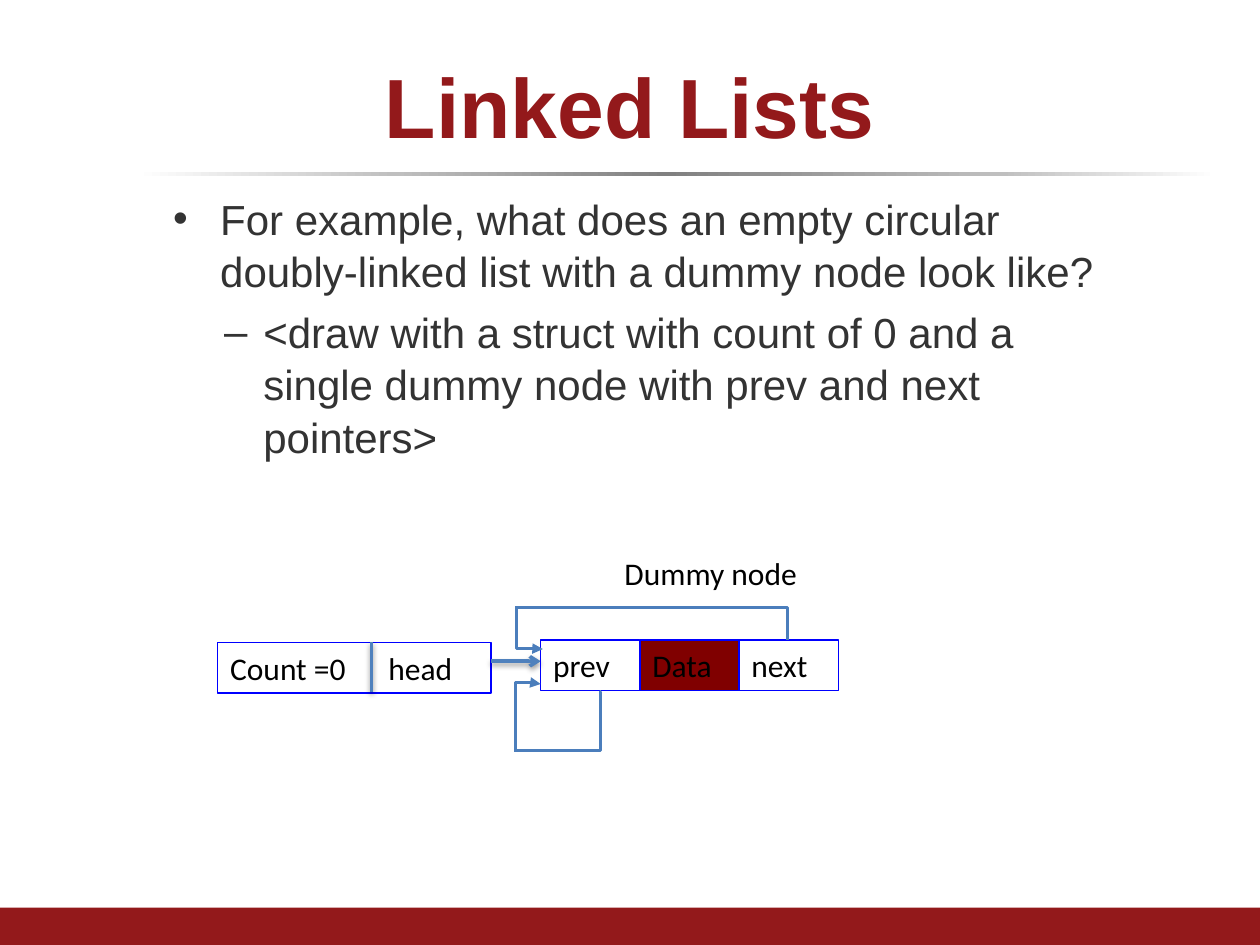
import lxml.etree
import pptx
import pptx.dml.color
import pptx.enum.shapes
import pptx.enum.text
import pptx.oxml
import pptx.oxml.ns
import pptx.util

Cm, Pt = pptx.util.Cm, pptx.util.Pt
qn = pptx.oxml.ns.qn
CONNECTOR = pptx.enum.shapes.MSO_CONNECTOR
COLORS = {"brand": "93191B", "body": "333333", "ink": "000000", "data": "800000",
          "border": "0000FF", "link": "4F81BD", "loop": "4B7EBC"}
RULE_STOPS = [(0, "FFFFFF"), (24, "BFBFBF"), (49, "808080"), (80, "BFBFBF"), (100, "FFFFFF")]
TITLE = {"name": "Arial", "size": Pt(48), "bold": True}
BODY = {"name": "Arial", "size": Pt(24)}
LABEL = {"name": "Calibri", "size": Pt(18)}


def rgb(key):
    return pptx.dml.color.RGBColor.from_string(COLORS[key])


def add_xml(parent, tag, **attrs):
    return lxml.etree.SubElement(parent, qn(tag), attrs)


class SlideBuilder:
    def __init__(self, slide):
        self.slide = slide

    def rect(self, box, fill=None, line=None):
        sp = self.slide.shapes.add_shape(
            pptx.enum.shapes.MSO_SHAPE.RECTANGLE, *map(Cm, box))
        sp.shadow.inherit = False
        if fill:
            sp.fill.solid()
            sp.fill.fore_color.rgb = rgb(fill)
        else:
            sp.fill.background()
        if line:
            sp.line.color.rgb = rgb(line)
            sp.line.width = Pt(0.75)
        else:
            sp.line.fill.background()
        return sp

    def gradient_rule(self, box):
        sp = self.rect(box)
        sp.fill.gradient()
        sp.fill.gradient_angle = 0
        stops = sp._element.spPr.find(qn("a:gradFill")).find(qn("a:gsLst"))
        for stop in list(stops):
            stops.remove(stop)
        for percent, color in RULE_STOPS:
            stop = add_xml(stops, "a:gs", pos=str(percent * 1000))
            add_xml(stop, "a:srgbClr", val=color)

    def text_box(self, box):
        return self.slide.shapes.add_textbox(*map(Cm, box))

    def label(self, sp, text, style, color="ink", align="LEFT", anchor="TOP"):
        tf = sp.text_frame
        tf.word_wrap = True
        tf.vertical_anchor = pptx.enum.text.MSO_ANCHOR[anchor]
        return self.fill_paragraph(tf.paragraphs[0], text, style, color, align)

    def fill_paragraph(self, p, text, style, color, align="LEFT"):
        p.alignment = pptx.enum.text.PP_ALIGN[align]
        r = p.add_run()
        r.text = text
        for name, value in style.items():
            setattr(r.font, name, value)
        r.font.color.rgb = rgb(color)
        return p

    def bullets(self, box, items):
        """Each item is (level, bullet, left margin, hanging indent, text)."""
        tf = self.text_box(box).text_frame
        tf.word_wrap = True
        for i, (level, bullet, margin, hang, text) in enumerate(items):
            p = tf.add_paragraph() if i else tf.paragraphs[0]
            self.fill_paragraph(p, text, BODY, "body")
            p.level = level
            p.space_before = Pt(4.8)
            p.line_spacing = 1.04
            pPr = p._p.get_or_add_pPr()
            pPr.set("marL", str(Cm(margin)))
            pPr.set("indent", str(-Cm(hang)))
            add_xml(pPr, "a:buFont", typeface="Arial")
            add_xml(pPr, "a:buChar", char=bullet)

    def style_line(self, cxn, color, head, shadow=False):
        cxn.line.color.rgb = rgb(color)
        cxn.line.width = Pt(2)
        if head:
            add_xml(cxn.line._get_or_add_ln(), "a:tailEnd", type=head)
        effects = add_xml(cxn._element.spPr, "a:effectLst")
        if shadow:
            outer = add_xml(effects, "a:outerShdw", blurRad=str(Pt(3.1)), dist=str(Pt(1.6)),
                            dir="5400000", rotWithShape="0")
            tint = add_xml(outer, "a:srgbClr", val=COLORS["ink"])
            add_xml(tint, "a:alpha", val="38000")

    def line(self, ends, head=None):
        cxn = self.slide.shapes.add_connector(CONNECTOR.STRAIGHT, *map(Cm, ends))
        self.style_line(cxn, "link", head, shadow=True)

    def elbow(self, box, turn, flips, bend=None, head=None):
        """Box is the frame before the turn; without a bend there is one corner."""
        x, y, w, h = box
        cxn = self.slide.shapes.add_connector(CONNECTOR.ELBOW, *map(Cm, (x, y, x + w, y + h)))
        xfrm = cxn._element.spPr.find(qn("a:xfrm"))
        xfrm.set("rot", str(turn * 60000))
        for flip in flips:
            xfrm.set("flip" + flip, "1")
        geom = cxn._element.spPr.find(qn("a:prstGeom"))
        if bend is None:
            geom.set("prst", "bentConnector2")
        else:
            guides = geom.find(qn("a:avLst"))
            if guides is None:
                guides = add_xml(geom, "a:avLst")
            add_xml(guides, "a:gd", name="adj1", fmla=f"val {round(bend * 100000)}")
        self.style_line(cxn, "loop", head)


def main():
    prs = pptx.Presentation()
    prs.slide_width, prs.slide_height = Cm(25.4), Cm(19.05)
    s = SlideBuilder(prs.slides.add_slide(prs.slide_layouts[6]))

    s.gradient_rule((2.74, 3.47, 21.8, 0.08))
    s.rect((0, 18.3, 25.4, 0.75), fill="brand")
    s.label(s.text_box((1.27, 0.76, 22.86, 2.72)), "Linked Lists", TITLE,
            "brand", "CENTER", "MIDDLE")
    s.bullets((2.46, 3.73, 20.45, 11.15), [
        (0, "•", 1.73, 0.95, "For example, what does an empty circular "
                             "doubly-linked list with a dummy node look like?"),
        (1, "–", 2.6, 0.79, "<draw with a struct with count of 0 and a "
                            "single dummy node with prev and next pointers>"),
    ])

    # List struct: count and head share one box, split by a line
    struct = s.rect((4.39, 12.95, 5.51, 1.02), line="border")
    p = s.label(struct, "Count =0\thead", LABEL)
    tabs = add_xml(p._p.get_or_add_pPr(), "a:tabLst")
    add_xml(tabs, "a:tab", pos=str(Cm(3.19)), algn="l")
    s.line((7.49, 12.95, 7.49, 13.94))

    # Dummy node
    s.label(s.text_box((12.34, 11.05, 3.99, 1.8)), "Dummy node", LABEL)
    s.line((9.9, 13.33, 10.9, 13.33), head="arrow")
    for i, (name, fill) in enumerate([("prev", None), ("Data", "data"), ("next", None)]):
        s.label(s.rect((10.9 + 2 * i, 12.9, 2, 1.02), fill, "border"), name, LABEL)

    # The next pointer loops over the node, the prev pointer under it
    s.elbow((10.26, 12.4, 0.84, 0.53), 270, "H", 0.99, "triangle")
    s.elbow((12.8, 9.83, 0.66, 5.49), 270, "V")
    s.elbow((10.39, 13.94, 1.73, 1.19), 180, "V", 0.01)
    s.elbow((9.96, 14.22, 1.37, 0.51), 90, "HV", 1.02, "triangle")

    prs.save("out.pptx")


if __name__ == "__main__":
    main()
